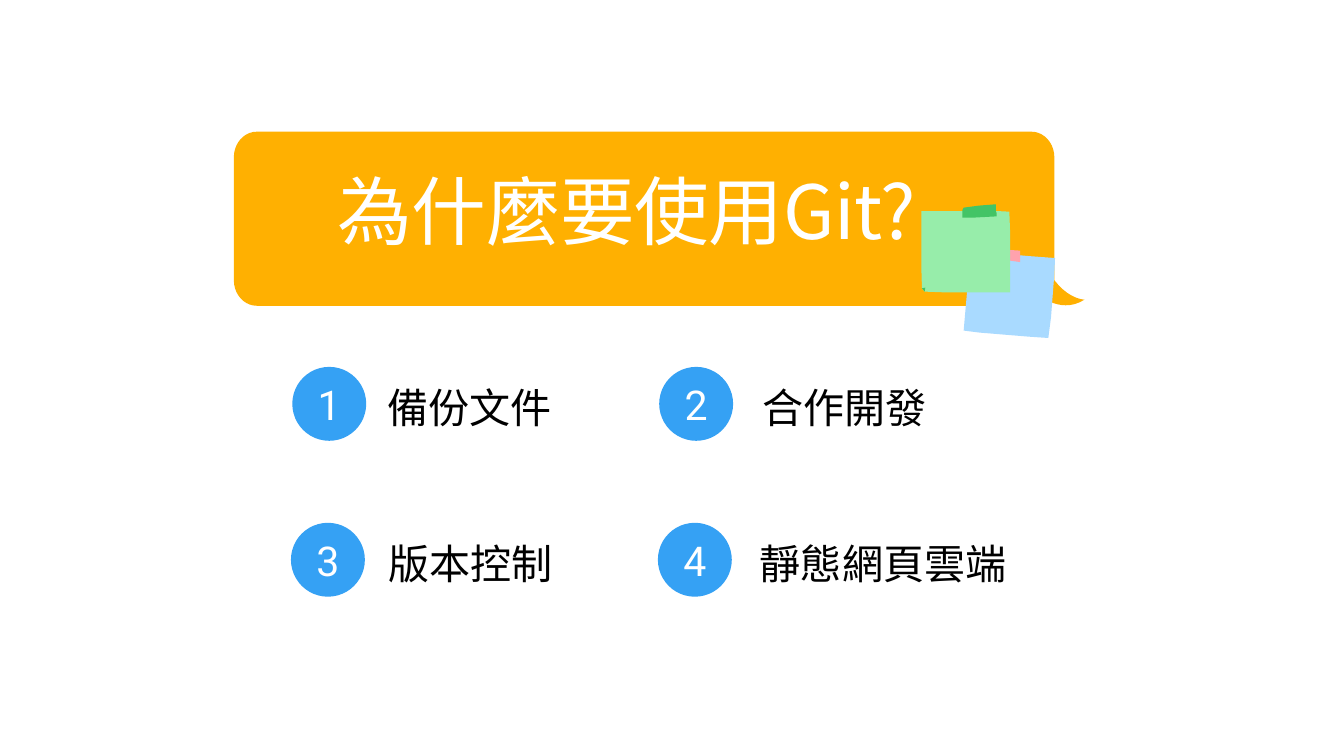
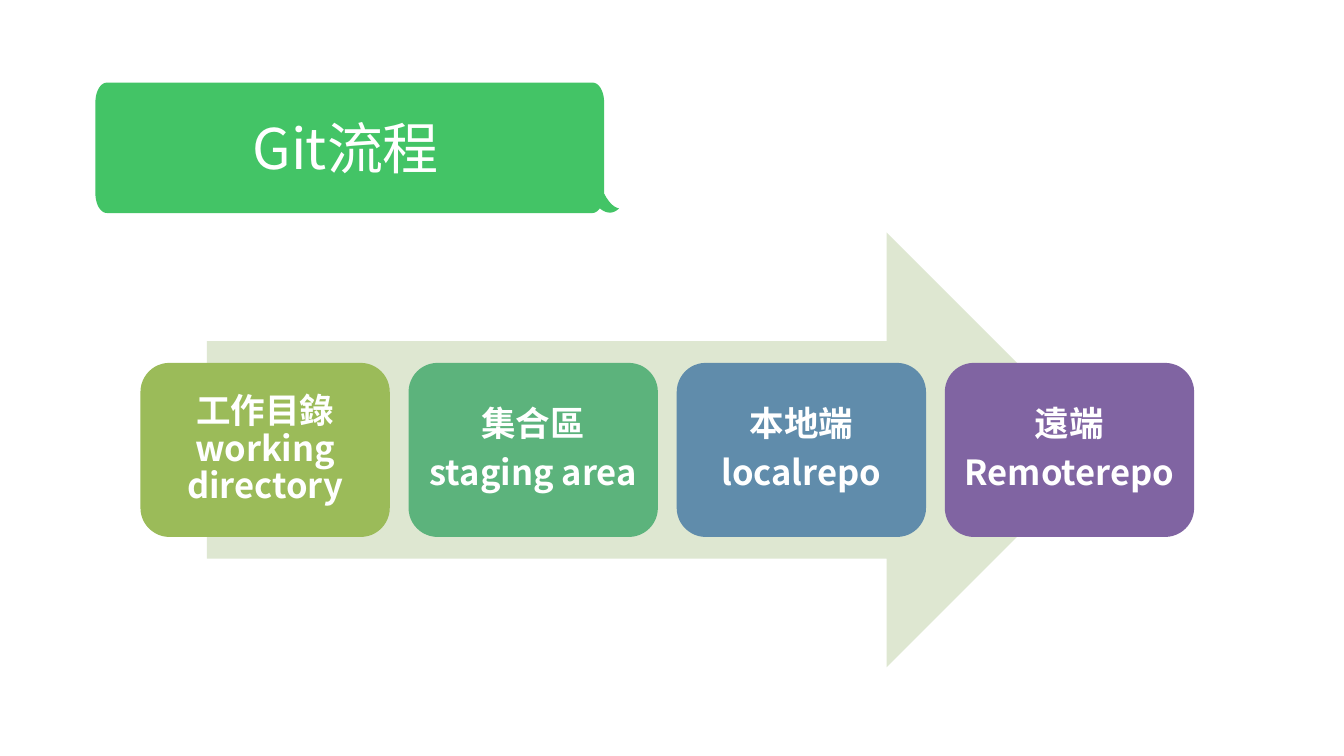
import math
from dataclasses import dataclass

from lxml import etree
from pptx import Presentation
from pptx import util as u
from pptx.dml import color as dml
from pptx.enum import shapes, text
from pptx.oxml import ns


@dataclass(frozen=True)
class Theme:
    white: str = "FFFFFF"
    black: str = "000000"
    orange: str = "FFB001"
    green: str = "43C466"
    light_green: str = "97EDAA"
    blue: str = "35A1F4"
    light_blue: str = "A9DAFF"
    pink: str = "FFA2AD"
    arrow: str = "DEE7D1"
    steps: tuple = ("9BBB59", "5CB37C", "608CAB", "8064A2")
    han_font: str = "Noto Sans CJK JP"
    digit_font: str = "Roboto"
    headline: int = 80
    title: int = 60
    body: int = 44
    step: int = 37


THEME = Theme()
TITLE_FORMAT = {"alignment": text.PP_ALIGN.CENTER, "line_spacing": u.Pt(67.2)}
NUMBER_FORMAT = {"alignment": text.PP_ALIGN.CENTER}
STEP_FORMAT = {"alignment": text.PP_ALIGN.CENTER, "line_spacing": 0.9, "space_after": u.Pt(13)}


def apply(target, values):
    for name, value in values.items():
        setattr(target, name, value)


def curve(start, first, second, end, steps=10):
    points = []
    for step in range(1, steps + 1):
        t = step / steps
        weights = ((1 - t) ** 3, 3 * t * (1 - t) ** 2, 3 * t * t * (1 - t), t ** 3)
        points.append(tuple(sum(w * p[axis] for w, p in zip(weights, (start, first, second, end)))
                            for axis in (0, 1)))
    return points


def turn(points, degrees):
    center_x, center_y = ((min(values) + max(values)) / 2 for values in zip(*points))
    cosine, sine = math.cos(math.radians(degrees)), math.sin(math.radians(degrees))
    return [(center_x + (x - center_x) * cosine - (y - center_y) * sine,
             center_y + (x - center_x) * sine + (y - center_y) * cosine) for x, y in points]


class Deck:
    """Hold the presentation, its theme and the slide being drawn."""

    def __init__(self, theme):
        self.theme = theme
        self.presentation = Presentation()
        apply(self.presentation, {"slide_width": u.Inches(20), "slide_height": u.Inches(11.25)})

    def new_slide(self):
        self.slide = self.presentation.slides.add_slide(self.presentation.slide_layouts[6])

    def paint(self, shape, color):
        shape.shadow.inherit = False
        shape.fill.solid()
        shape.fill.fore_color.rgb = dml.RGBColor.from_string(color)
        shape.line.fill.background()
        return shape

    def preset(self, kind, box, color):
        return self.paint(self.slide.shapes.add_shape(kind, *map(u.Inches, box)), color)

    def outline(self, color, *contours, rotation=0):
        builder = None
        for contour in contours:
            start, *rest = [(u.Inches(x), u.Inches(y)) for x, y in turn(contour, -rotation)]
            if builder is None:
                builder = self.slide.shapes.build_freeform(*start)
            else:
                builder.move_to(*start)
            builder.add_line_segments(rest, close=True)
        shape = self.paint(builder.convert_to_shape(), color)
        shape.rotation = rotation

    def bubble(self, box, radius, color):
        left, top, width, height = box
        radius_x, radius_y = radius
        right, bottom = left + width, top + height
        points = [(right, bottom - radius_y)]
        for x, y, side, down in ((right, top, -1, 1), (left, top, 1, 1), (left, bottom, 1, -1)):
            vertical = [(x, y + down * radius_y), (x, y + down * radius_y * 0.45)]
            horizontal = [(x + side * radius_x * 0.45, y), (x + side * radius_x, y)]
            corner = vertical + horizontal
            if side == down:
                corner = corner[::-1]
            points += [corner[0], *curve(*corner)]
        tail = [(right + x * radius_x, bottom + y * radius_y) for x, y in (
            (-1, 0), (-0.76, 0), (-0.53, -0.11), (-0.38, -0.24), (-0.09, -0.1),
            (0.59, 0.18), (1.32, -0.24), (1.32, -0.24), (0.65, -0.24), (0, -1))]
        points.append(tail[0])
        for index in (0, 3, 6):
            points += curve(*tail[index:index + 4])
        self.outline(color, points)

    def fill_text(self, shape, lines, font, size, color, layout, bold=False, spacing=None, inset=0.0):
        frame = shape.text_frame
        apply(frame, {f"margin_{side}": u.Inches(inset) for side in ("left", "top", "right", "bottom")})
        for index, line in enumerate(lines):
            paragraph = frame.add_paragraph() if index else frame.paragraphs[0]
            apply(paragraph, layout)
            run = paragraph.add_run()
            run.text = line
            apply(run.font, {"name": font, "size": u.Pt(size), "bold": bold})
            run.font.color.rgb = dml.RGBColor.from_string(color)
            properties = run.font._element
            etree.SubElement(properties, ns.qn("a:ea"), typeface=font)
            if spacing:
                properties.set("spc", str(spacing))
        return frame

    def textbox(self, box, line, size, color, layout, wrap=True, **options):
        shape = self.slide.shapes.add_textbox(*map(u.Inches, box))
        frame = self.fill_text(shape, [line], self.theme.han_font, size, color, layout, **options)
        apply(frame, {"word_wrap": wrap, "auto_size": text.MSO_AUTO_SIZE.SHAPE_TO_FIT_TEXT})

    def title(self, box, line, size):
        self.textbox(box, line, size, self.theme.white, TITLE_FORMAT, spacing=-50)

    def reason(self, number, left, top, label, label_left):
        theme = self.theme
        circle = self.preset(shapes.MSO_SHAPE.OVAL, (left, top, 1.1, 1.1), theme.blue)
        frame = self.fill_text(circle, [str(number)], theme.digit_font, theme.body, theme.white,
                               NUMBER_FORMAT)
        apply(frame, {"vertical_anchor": text.MSO_ANCHOR.MIDDLE, "word_wrap": False})
        self.textbox((label_left, top + 0.13, 0.61 * len(label) + 0.22, 0.84), label, theme.body,
                     theme.black, {}, wrap=False, inset=0.1)

    def step(self, box, lines, color):
        theme = self.theme
        card = self.preset(shapes.MSO_SHAPE.ROUNDED_RECTANGLE, box, color)
        frame = self.fill_text(card, lines, theme.han_font, theme.step, theme.white, STEP_FORMAT,
                               bold=True, inset=0.15)
        apply(frame, {"vertical_anchor": text.MSO_ANCHOR.MIDDLE, "word_wrap": True})


def add_reasons(deck):
    theme = deck.theme
    deck.new_slide()
    deck.bubble((3.48, 1.96, 12.21, 2.59), (0.34, 0.38), theme.orange)
    deck.title((4.54, 2.85, 9.57, 0.97), "為什麼要使用Git?", theme.headline)
    reasons = (("備份文件", 5.67), ("合作開發", 11.25), ("版本控制", 5.68), ("靜態網頁雲端", 11.21))
    for index, (label, label_left) in enumerate(reasons):
        row, column = divmod(index, 2)
        deck.reason(index + 1, 4.35 + 5.46 * column - 0.02 * row, 5.46 + 2.32 * row, label, label_left)
    add_sticky_notes(deck)


def add_sticky_notes(deck):
    theme = deck.theme
    blue_note = ((15.7, 3.84), (15.3, 3.81), (14.73, 3.76), (14.43, 3.73), (14.43, 3.89), (14.36, 4.69),
                 (14.34, 4.92), (14.58, 4.95), (15.31, 5.01), (15.6, 5.03), (15.64, 4.72), (15.69, 4.07))
    pink_tape = ((14.62, 3.65), (15.02, 3.72), (15.18, 3.73), (15.18, 3.9), (14.9, 3.86), (14.6, 3.8),
                 (14.6, 3.75), (14.62, 3.7))
    green_note = ((13.71, 3.14), (13.71, 3.97), (13.72, 4.29), (13.76, 4.34), (14.04, 4.35),
                  (15.03, 4.35), (15.03, 3.42), (15.02, 3.15), (14.83, 3.14), (14, 3.14))
    folded_corner = ((13.72, 4.29), (13.76, 4.34), (13.77, 4.28))
    green_tape = ((14.34, 3.09), (14.57, 3.06), (14.82, 3.04), (14.82, 3.14), (14.83, 3.17),
                  (14.83, 3.22), (14.46, 3.24), (14.32, 3.24), (14.32, 3.13))
    deck.outline(theme.light_blue, blue_note, rotation=4.6)
    deck.outline(theme.pink, pink_tape, rotation=4.6)
    deck.outline(theme.light_green, green_note)
    deck.outline(theme.green, folded_corner, green_tape)


def add_workflow(deck):
    theme = deck.theme
    deck.new_slide()
    deck.bubble((1.42, 1.23, 7.57, 1.94), (0.17, 0.29), theme.green)
    deck.title((2.97, 1.76, 4.35, 0.94), "Git流程", theme.title)
    deck.preset(shapes.MSO_SHAPE.RIGHT_ARROW, (3.08, 3.46, 13.35, 6.47), theme.arrow)
    steps = (["工作目錄working directory"], ["集合區", "staging area"],
             ["本地端", "localrepo"], ["遠端", "Remoterepo"])
    for index, (lines, color) in enumerate(zip(steps, theme.steps)):
        deck.step((2.09 + 3.99 * index, 5.4, 3.71, 2.59), lines, color)


def main():
    deck = Deck(THEME)
    add_reasons(deck)
    add_workflow(deck)
    deck.presentation.save("out.pptx")


if __name__ == "__main__":
    main()
